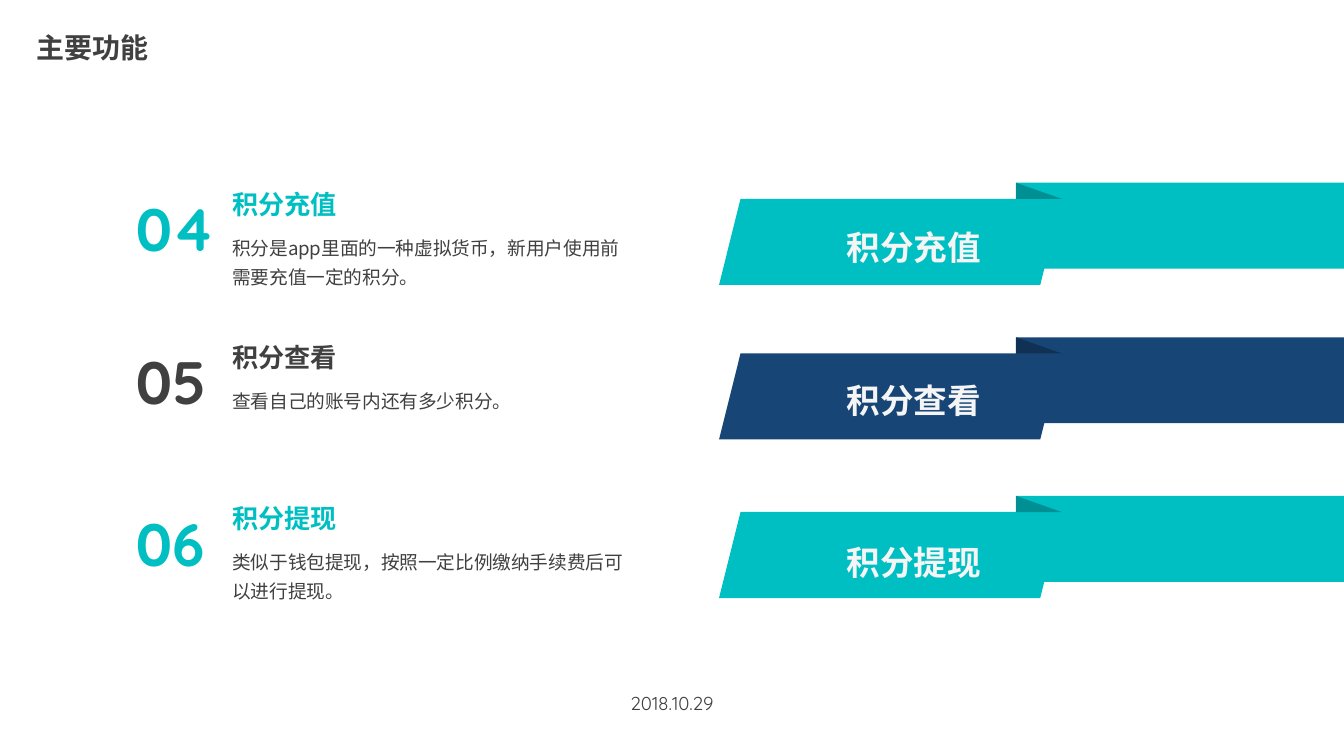
from pptx import Presentation
from pptx.dml.color import RGBColor
from pptx.enum.shapes import MSO_SHAPE
from pptx.enum.text import MSO_AUTO_SIZE, PP_ALIGN
from pptx.util import Inches, Pt

RECTANGLE = MSO_SHAPE.RECTANGLE
PARALLELOGRAM = MSO_SHAPE.PARALLELOGRAM
TRIANGLE = MSO_SHAPE.ISOSCELES_TRIANGLE
FIT_SHAPE = MSO_AUTO_SIZE.SHAPE_TO_FIT_TEXT
CENTER = PP_ALIGN.CENTER

HEADING_FONT = "Quicksand"
BODY_FONT = "Noto Sans CJK SC"
TEAL, DARK_TEAL = "00BFC3", "008F92"
NAVY, DARK_NAVY = "174576", "103154"
GRAY, OFF_WHITE = "404040", "F5F5F5"

SLIDE_WIDTH = 10
SLIDE_HEIGHT = SLIDE_WIDTH * 9 / 16
TEXT_LEFT, RIBBON_LEFT = 0.91, 5.35

# number, heading, body, body height, text colour, ribbon colour, fold colour, text top, ribbon top
FEATURES = [
    ("04", "积分充值", "积分是app里面的一种虚拟货币，新用户使用前需要充值一定的积分。",
     0.54, TEAL, TEAL, DARK_TEAL, 1.35, 1.36),
    ("05", "积分查看", "查看自己的账号内还有多少积分。",
     0.32, GRAY, NAVY, DARK_NAVY, 2.49, 2.51),
    ("06", "积分提现", "类似于钱包提现，按照一定比例缴纳手续费后可以进行提现。",
     0.54, TEAL, TEAL, DARK_TEAL, 3.69, 3.69),
]


def color(hex_string):
    return RGBColor.from_string(hex_string)


def add_text(slide, text, left, top, width, height, size, hex_color, bold=False,
             font=HEADING_FONT, wrap=False, alignment=None, line_spacing=None):
    box = slide.shapes.add_textbox(Inches(left), Inches(top), Inches(width), Inches(height))
    frame = box.text_frame
    frame.word_wrap = wrap
    frame.auto_size = FIT_SHAPE
    paragraph = frame.paragraphs[0]
    paragraph.text = text
    paragraph.alignment = alignment
    paragraph.line_spacing = line_spacing
    paragraph.font.name = font
    paragraph.font.size = Pt(size)
    paragraph.font.bold = bold
    paragraph.font.color.rgb = color(hex_color)


def add_filled_shape(slide, kind, left, top, width, height, hex_color):
    shape = slide.shapes.add_shape(kind, Inches(left), Inches(top), Inches(width), Inches(height))
    shape.shadow.inherit = False
    shape.fill.solid()
    shape.fill.fore_color.rgb = color(hex_color)
    shape.line.fill.background()
    return shape


def add_ribbon(slide, left, top, hex_color, fold_color):
    """Draw a band to the slide's right edge, a slanted front and the fold between them."""
    band_height, drop = 0.64, 0.12
    front_width, fold_width = 2.55, 0.34
    band_left = left + front_width - fold_width
    add_filled_shape(slide, RECTANGLE, band_left, top,
                     SLIDE_WIDTH - band_left, band_height, hex_color)
    add_filled_shape(slide, PARALLELOGRAM, left, top + drop,
                     front_width, band_height, hex_color)
    # The fold is turned a quarter, so its unrotated box shares only the centre.
    inset = (fold_width - drop) / 2
    fold = add_filled_shape(slide, TRIANGLE, band_left + inset, top - inset,
                            drop, fold_width, fold_color)
    fold.adjustments[0] = 1
    fold.rotation = 90


def add_description(slide, left, top, number, heading, body, body_height, hex_color):
    column_left = left + 0.72
    add_text(slide, number, left, top + 0.03, 0.85, 0.64, 32, hex_color, bold=True)
    add_text(slide, heading, column_left, top, 0.98, 0.34, 14, hex_color, bold=True)
    add_text(slide, body, column_left, top + 0.31, 3.16, body_height, 10, GRAY,
             font=BODY_FONT, wrap=True, line_spacing=1.3)


def main():
    presentation = Presentation()
    presentation.slide_width = Inches(SLIDE_WIDTH)
    presentation.slide_height = Inches(SLIDE_HEIGHT)
    slide = presentation.slides.add_slide(presentation.slide_layouts[6])

    add_text(slide, "主要功能", 0.17, 0.18, 2.35, 0.35, 15, GRAY, bold=True, wrap=True)
    add_text(slide, "2018.10.29", 4.46, 5.1, 1.08, 0.27, 10, GRAY, alignment=CENTER)

    for (number, heading, body, body_height, text_color,
         ribbon_color, fold_color, text_top, ribbon_top) in FEATURES:
        add_ribbon(slide, RIBBON_LEFT, ribbon_top, ribbon_color, fold_color)
        add_text(slide, heading, RIBBON_LEFT + 0.85, text_top + 0.29, 1.2, 0.4,
                 18, OFF_WHITE, bold=True)
        add_description(slide, TEXT_LEFT, text_top, number, heading, body,
                        body_height, text_color)

    presentation.save("out.pptx")


if __name__ == "__main__":
    main()
